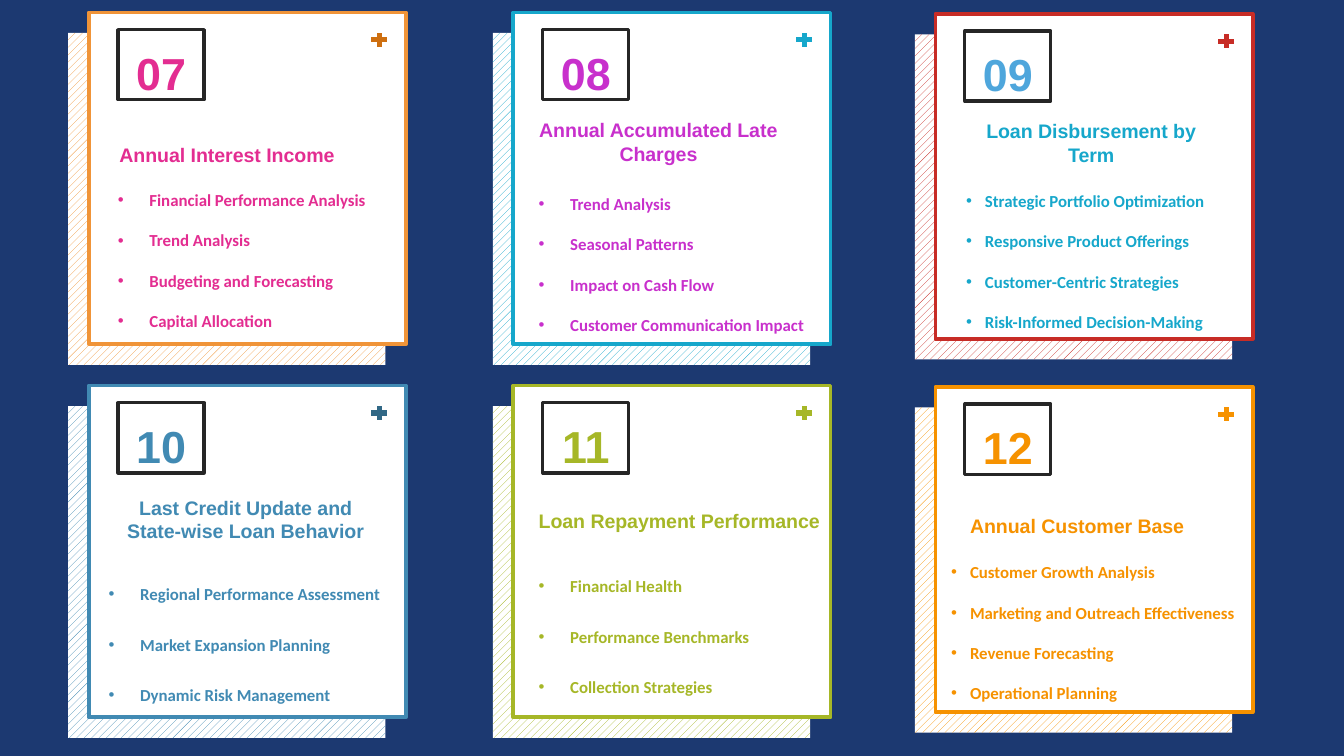
from dataclasses import dataclass

from lxml import etree
from pptx import Presentation
from pptx import util as u
from pptx.dml.color import RGBColor
from pptx.enum import dml, shapes, text
from pptx.oxml.ns import qn

Pt = u.Pt
LEFT = text.PP_ALIGN.LEFT
CENTER = text.PP_ALIGN.CENTER
JUSTIFY = text.PP_ALIGN.JUSTIFY
COLUMNS = (47.5, 275, 501.1)
ROWS = (6.7, 206.6)
CARD_WIDTH = 170


@dataclass
class Card:
    number: str
    title: str
    items: tuple
    frame_color: str
    text_color: str
    title_box: tuple
    body_box: tuple
    title_align: int = CENTER
    title_spacing: float = 1
    body_align: int = JUSTIFY
    body_spacing: float = 2
    hanging: float = 16.9
    height: float = 177.8
    drop: float = 0
    plus_color: str = ""
    number_color: str = ""


CARDS = (
    Card("07", "Annual Interest Income",
         ("Financial Performance Analysis", "Trend Analysis",
          "Budgeting and Forecasting", "Capital Allocation"),
         "F09438", "E32D91", (9.4, 59.8, 206.6), (8.6, 80.6, 162.7),
         title_align=JUSTIFY, title_spacing=1.5, plus_color="CE6F10"),
    Card("08", "Annual Accumulated Late Charges",
         ("Trend Analysis", "Seasonal Patterns", "Impact on Cash Flow",
          "Customer Communication Impact"),
         "16A7CB", "C830CC", (-12.2, 53.2, 180), (6.5, 82.6, 162.7)),
    Card("09", "Loan Disbursement by Term",
         ("Strategic Portfolio Optimization", "Responsive Product Offerings",
          "Customer-Centric Strategies", "Risk-Informed Decision-Making"),
         "C72C26", "16A7CB", (7.2, 53, 152.6), (9.4, 80.4, 168.5),
         body_align=LEFT, hanging=10.1, height=174.2, drop=0.7,
         number_color="4EA6DC"),
    Card("10", "Last Credit Update and State-wise Loan Behavior",
         ("Regional Performance Assessment", "Market Expansion Planning",
          "Dynamic Risk Management"),
         "418AB3", "418AB3", (5, 55.4, 158.4), (3.6, 86.4, 162.7),
         body_spacing=2.5, plus_color="316886"),
    Card("11", "Loan Repayment Performance",
         ("Financial Health", "Performance Benchmarks",
          "Collection Strategies"),
         "A6B727", "A6B727", (6.5, 62.6, 180), (6.5, 82.1, 162.7),
         title_align=LEFT, body_spacing=2.5),
    Card("12", "Annual Customer Base",
         ("Customer Growth Analysis", "Marketing and Outreach Effectiveness",
          "Revenue Forecasting", "Operational Planning"),
         "F69200", "F69200", (11.5, 58.4, 152.6), (1.4, 79.3, 168.5),
         title_align=LEFT, title_spacing=1.5, body_align=LEFT, hanging=10.1,
         height=174.2, drop=0.7),
)


def color(value):
    return RGBColor.from_string(value)


def add_rectangle(slide, left, top, width, height, fill=None, line=None,
                  weight=2):
    shape = slide.shapes.add_shape(shapes.MSO_SHAPE.RECTANGLE, Pt(left),
                                   Pt(top), Pt(width), Pt(height))
    shape.shadow.inherit = False
    if fill:
        shape.fill.solid()
        shape.fill.fore_color.rgb = color(fill)
    else:
        shape.fill.background()
    if line:
        shape.line.color.rgb = color(line)
        shape.line.width = Pt(weight)
    else:
        shape.line.fill.background()
    return shape


def add_bullet(paragraph, hanging):
    properties = paragraph._p.get_or_add_pPr()
    properties.set("marL", str(Pt(hanging)))
    properties.set("indent", str(-Pt(hanging)))
    etree.SubElement(properties, qn("a:buFont")).set("typeface", "Arial")
    etree.SubElement(properties, qn("a:buChar")).set("char", "•")


def add_text(slide, left, top, width, height, lines, size, font, font_color,
             align, spacing=1, hanging=0):
    box = slide.shapes.add_textbox(Pt(left), Pt(top), Pt(width), Pt(height))
    frame = box.text_frame
    frame.word_wrap = True
    frame.auto_size = text.MSO_AUTO_SIZE.SHAPE_TO_FIT_TEXT
    frame.text = "\n".join(lines)
    for paragraph in frame.paragraphs:
        if hanging:
            add_bullet(paragraph, hanging)
        paragraph.alignment = align
        paragraph.line_spacing = spacing
        paragraph.font.size = Pt(size)
        paragraph.font.name = font
        paragraph.font.bold = True
        paragraph.font.color.rgb = color(font_color)


def add_plus(slide, center_x, center_y, line_color):
    group = slide.shapes.add_group_shape()
    for dx, dy in ((4.3, 0), (0, 3.7)):
        line = group.shapes.add_connector(
            shapes.MSO_CONNECTOR.STRAIGHT,
            Pt(center_x - dx), Pt(center_y - dy),
            Pt(center_x + dx), Pt(center_y + dy))
        line.line.color.rgb = color(line_color)
        line.line.width = Pt(2.75)
        etree.SubElement(line._element.spPr, qn("a:effectLst"))


def add_card(slide, left, top, card):
    backing = add_rectangle(slide, left - 11, top + 11, CARD_WIDTH,
                            card.height)
    backing.fill.patterned()
    backing.fill.pattern = dml.MSO_PATTERN.WIDE_UPWARD_DIAGONAL
    backing.fill.fore_color.rgb = color(card.frame_color)
    backing.fill.back_color.rgb = color("FFFFFF")
    add_rectangle(slide, left, top, CARD_WIDTH, card.height, "FFFFFF",
                  card.frame_color)
    add_plus(slide, left + 155.8, top + 14.7,
             card.plus_color or card.frame_color)

    dx, dy, width = card.body_box
    add_text(slide, left + dx, top + dy, width, 91.4, card.items, 9,
             "Calibri", card.text_color, card.body_align, card.body_spacing,
             card.hanging)
    dx, dy, width = card.title_box
    add_text(slide, left + dx, top + dy, width, 32.4, [card.title], 10.5,
             "Arial", card.text_color, card.title_align, card.title_spacing)
    add_text(slide, left + 11.5, top + 14, 54.7, 36, [card.number], 24,
             "Arial", card.number_color or card.text_color, CENTER)
    add_rectangle(slide, left + 15.8, top + 9.2, 46.1, 37.6, line="262626",
                  weight=1.75)


def main():
    presentation = Presentation()
    presentation.slide_width = Pt(720)
    presentation.slide_height = Pt(405)
    slide = presentation.slides.add_slide(presentation.slide_layouts[6])
    slide.background.fill.solid()
    slide.background.fill.fore_color.rgb = color("1C3971")
    for index, card in enumerate(CARDS):
        row, column = divmod(index, len(COLUMNS))
        add_card(slide, COLUMNS[column], ROWS[row] + card.drop, card)
    presentation.save("out.pptx")


if __name__ == "__main__":
    main()
